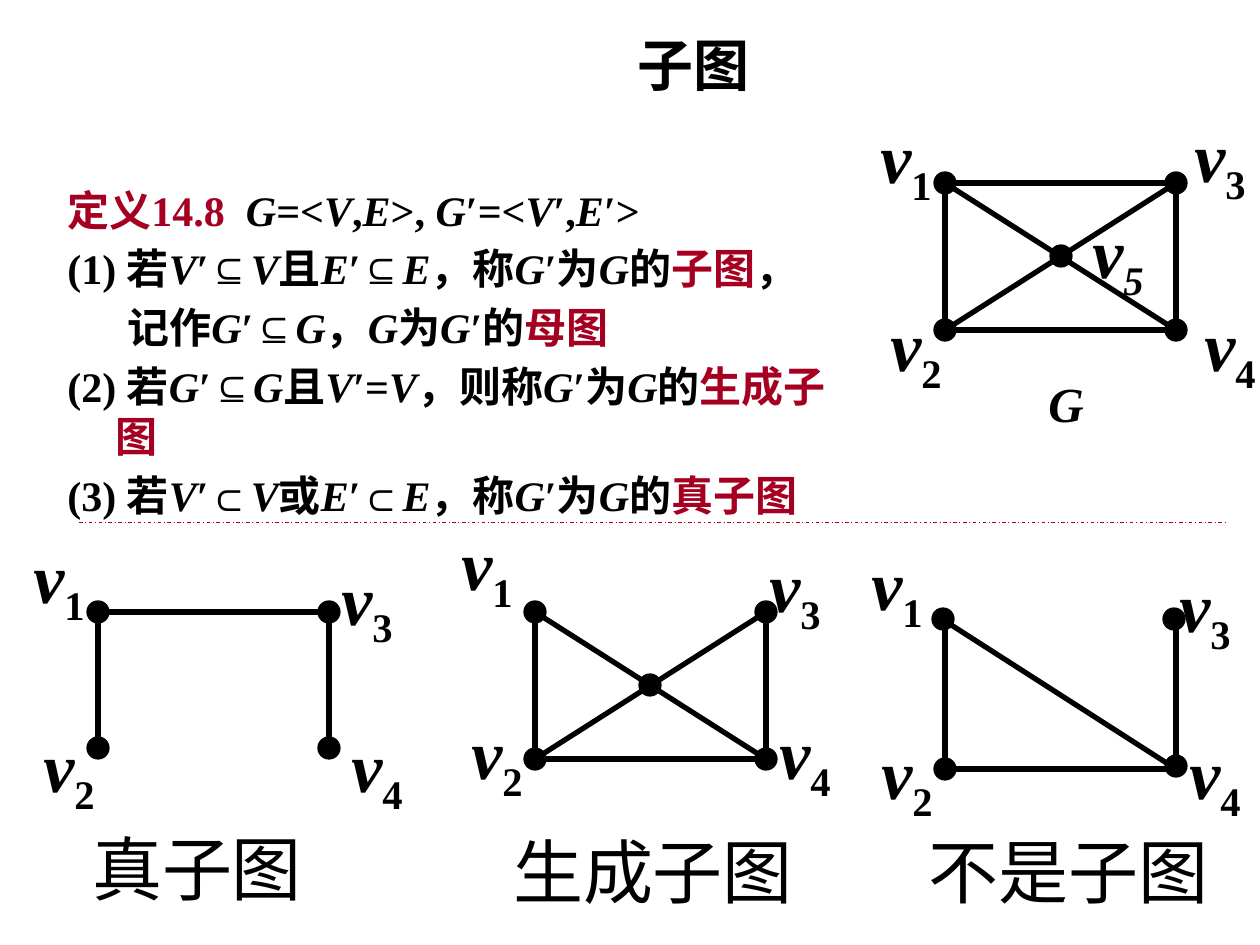
from itertools import groupby

from lxml import etree
from pptx import Presentation
from pptx import util as u
from pptx.dml.color import RGBColor
from pptx.enum import dml, shapes, text
from pptx.oxml.ns import qn

PX = 914400 / 126
COLORS = {"ink": "000000", "red": "A50021"}
CENTER = {"alignment": text.PP_ALIGN.CENTER}


def add_text(parent, box, paragraphs, size, frame_format, paragraph_format):
    """Add a text box; every paragraph is a list of (wording, colour, font values)."""
    shape = parent.add_textbox(*[round(value * PX) for value in box])
    frame = shape.text_frame
    for name, value in frame_format.items():
        setattr(frame, name, value)
    for index, runs in enumerate(paragraphs):
        paragraph = frame.add_paragraph() if index else frame.paragraphs[0]
        for name, value in paragraph_format.items():
            setattr(paragraph, name, value)
        for wording, color, font_format in runs:
            run = paragraph.add_run()
            run.text = wording
            values = {"name": "Times New Roman", "size": u.Pt(size), **font_format}
            for name, value in values.items():
                setattr(run.font, name, value)
            run.font.color.rgb = RGBColor.from_string(COLORS[color])
    return shape


def add_line(parent, start, end, color, width):
    ends = [round(value * PX) for value in (*start, *end)]
    line = parent.add_connector(shapes.MSO_CONNECTOR.STRAIGHT, *ends)
    line.line.color.rgb = RGBColor.from_string(COLORS[color])
    line.line.width = u.Pt(width)
    etree.SubElement(line._element.spPr, qn("a:effectLst"))
    return line


presentation = Presentation()
presentation.slide_width = u.Inches(10)
presentation.slide_height = u.Inches(7.5)
slide = presentation.slides.add_slide(presentation.slide_layouts[6])

# Title
add_text(slide.shapes, (272, 35, 843, 58), [[("子图", "ink", {"bold": True})]], 32,
         {"word_wrap": True, "vertical_anchor": text.MSO_ANCHOR.MIDDLE}, CENTER)

# Definition: bars enclose red wording, the letters G, V and E are italic
DEFINITION = [
    "|定义14.8|| |G=<V,E>, G′=<V′,E′>",
    "(1) 若V′⊆V且E′⊆E，称G′为G的|子图|，",
    "记作G′⊆G，G为G′的|母图|",
    "(2) 若G′⊆G且V′=V，则称G′为G的|生成子图|",
    "(3) 若V′⊂V或E′⊂E，称G′为G的|真子图|",
]
paragraphs = []
for line in DEFINITION:
    runs = []
    for index, part in enumerate(line.split("|")):
        for italic, letters in groupby(part, lambda letter: letter in "GVE"):
            color = "red" if index % 2 else "ink"
            runs.append(("".join(letters), color, {"bold": True, "italic": italic}))
    paragraphs.append(runs)
definition = add_text(slide.shapes, (55, 178, 814, 297), paragraphs, 24, {"word_wrap": True}, {})
for index, paragraph in enumerate(definition.text_frame.paragraphs):
    continued = index == 2
    properties = paragraph._p.get_or_add_pPr()
    properties.set("marL", str(round((60 if continued else 48) * PX)))
    properties.set("indent", str(0 if continued else round(-48 * PX)))
    if index:
        paragraph.space_before = u.Pt(4.8)
    for run in paragraph.runs:
        if run.text == " ":  # wider gap after the definition number
            run._r.get_or_add_rPr().set("spc", "600")

# Captions below the three lower graphs
for caption, box in [("真子图", (55, 819, 284, 97)),
                     ("生成子图", (469, 822, 368, 97)),
                     ("不是子图", (911, 822, 315, 97))]:
    add_text(slide.shapes, box, [[(caption, "ink", {})]], 40, {"word_wrap": True}, CENTER)

# Divider
divider = add_line(slide.shapes, (79, 522), (1226, 522), "red", 0.5)
divider.line.dash_style = dml.MSO_LINE.DASH_DOT

# Graphs: bounds of the edges, edges as vertex pairs, dot centres, label offsets
LOWER_LABELS = [(0, 0), (10, 189), (308, 22), (318, 189)]
UPPER_LABELS = [(0, 0), (10, 188), (314, -1), (324, 188), (212, 95)]
GRAPHS = [
    {"bounds": (98, 612, 329, 758), "edges": "13 12 34",
     "dots": [(98, 612), (98, 748), (329, 612), (329, 748)],
     "origin": (21, 527), "labels": LOWER_LABELS},
    {"bounds": (945, 621, 1176, 769), "edges": "12 24 34 14",
     "dots": [(943, 619), (945, 769), (1174, 619), (1176, 766)],
     "origin": (859, 534), "labels": LOWER_LABELS},
    {"bounds": (535, 612, 766, 759), "edges": "12 24 34 14 23",
     "dots": [(535, 612), (535, 759), (766, 612), (766, 759), (650, 685)],
     "origin": (449, 514), "labels": LOWER_LABELS},
    {"bounds": (945, 183, 1176, 330), "edges": "13 12 24 34 14 23",
     "dots": [(945, 183), (945, 330), (1176, 183), (1176, 330), (1061, 256)],
     "origin": (868, 107), "labels": UPPER_LABELS},
]
DOT = 22
LABEL_FRAME = {"word_wrap": False, "auto_size": text.MSO_AUTO_SIZE.SHAPE_TO_FIT_TEXT}
BOLD_ITALIC = {"bold": True, "italic": True}
for graph in GRAPHS:
    parts = slide.shapes.add_group_shape().shapes
    left, top, right, bottom = graph["bounds"]
    corners = {"1": (left, top), "2": (left, bottom), "3": (right, top), "4": (right, bottom)}
    for start, end in graph["edges"].split():
        add_line(parts, corners[start], corners[end], "ink", 3)
    for x, y in graph["dots"]:
        box = [round(value * PX) for value in (x - DOT / 2, y - DOT / 2, DOT, DOT)]
        dot = parts.add_shape(shapes.MSO_SHAPE.OVAL, *box)
        dot.shadow.inherit = False
        dot.fill.solid()
        dot.fill.fore_color.rgb = RGBColor.from_string(COLORS["ink"])
        dot.line.color.rgb = RGBColor.from_string(COLORS["ink"])
        dot.line.width = u.Pt(0.75)
    for number, (x, y) in enumerate(graph["labels"], 1):
        box = (graph["origin"][0] + x, graph["origin"][1] + y, 81, 97)
        runs = [("v", "ink", BOLD_ITALIC),
                (str(number), "ink", {"bold": True, "italic": number == 5})]
        label = add_text(parts, box, [runs], 40, LABEL_FRAME, {})
        subscript = label.text_frame.paragraphs[0].runs[1]
        subscript._r.get_or_add_rPr().set("baseline", "-25000")

# Name of the upper graph
add_text(slide.shapes, (1036, 367, 81, 72), [[("G", "ink", BOLD_ITALIC)]], 28,
         {"word_wrap": True}, {})

presentation.save("out.pptx")
